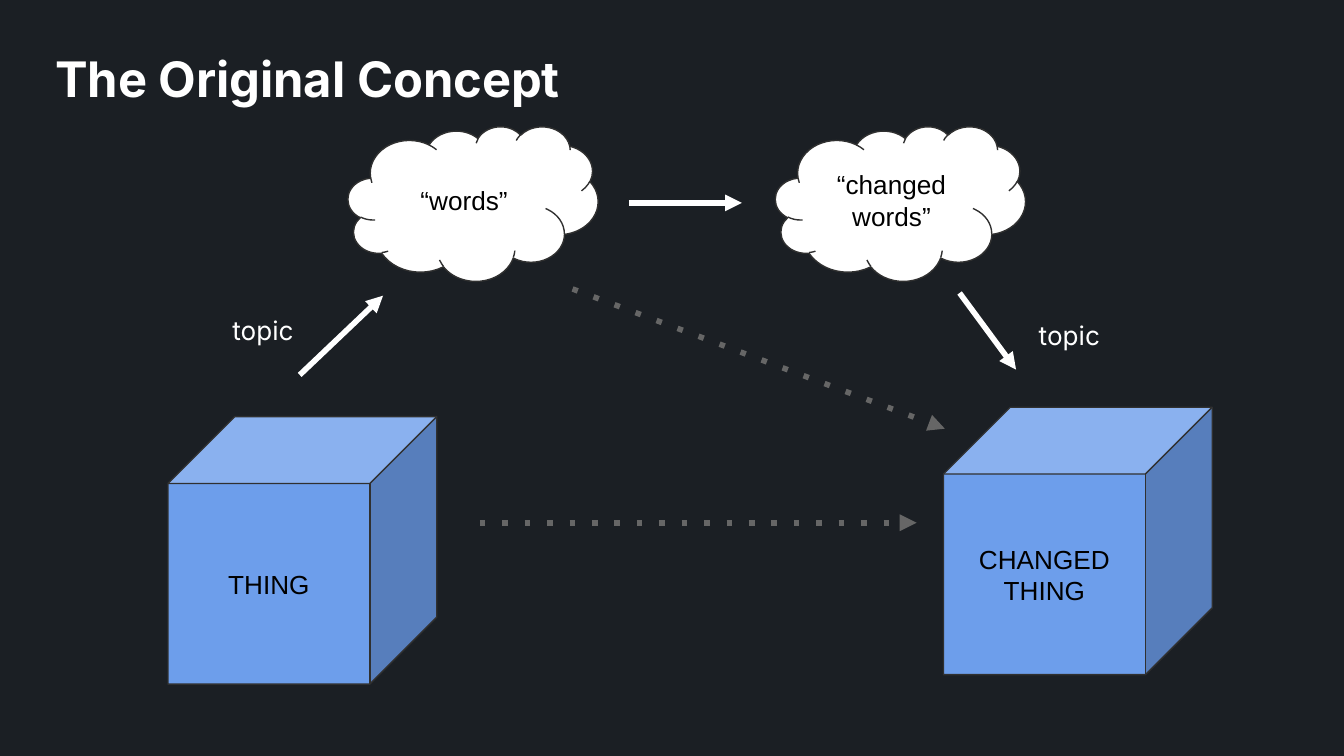
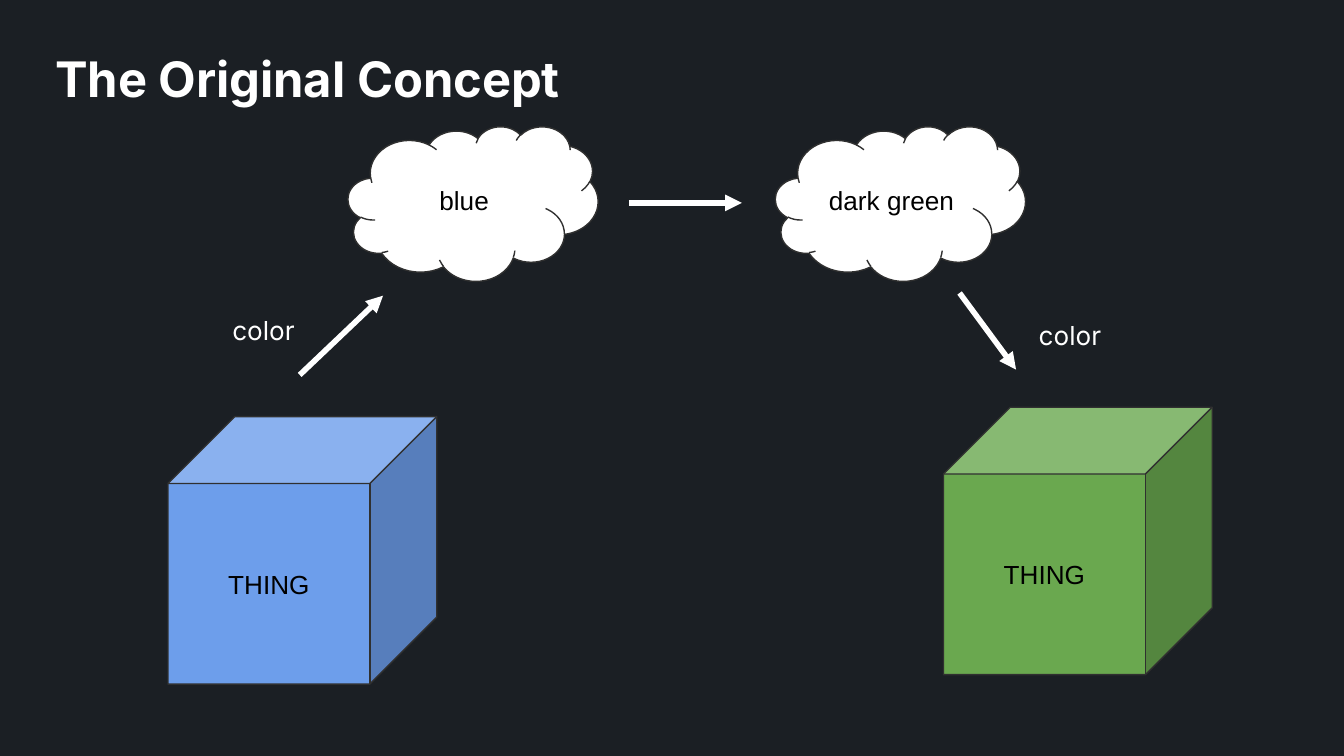
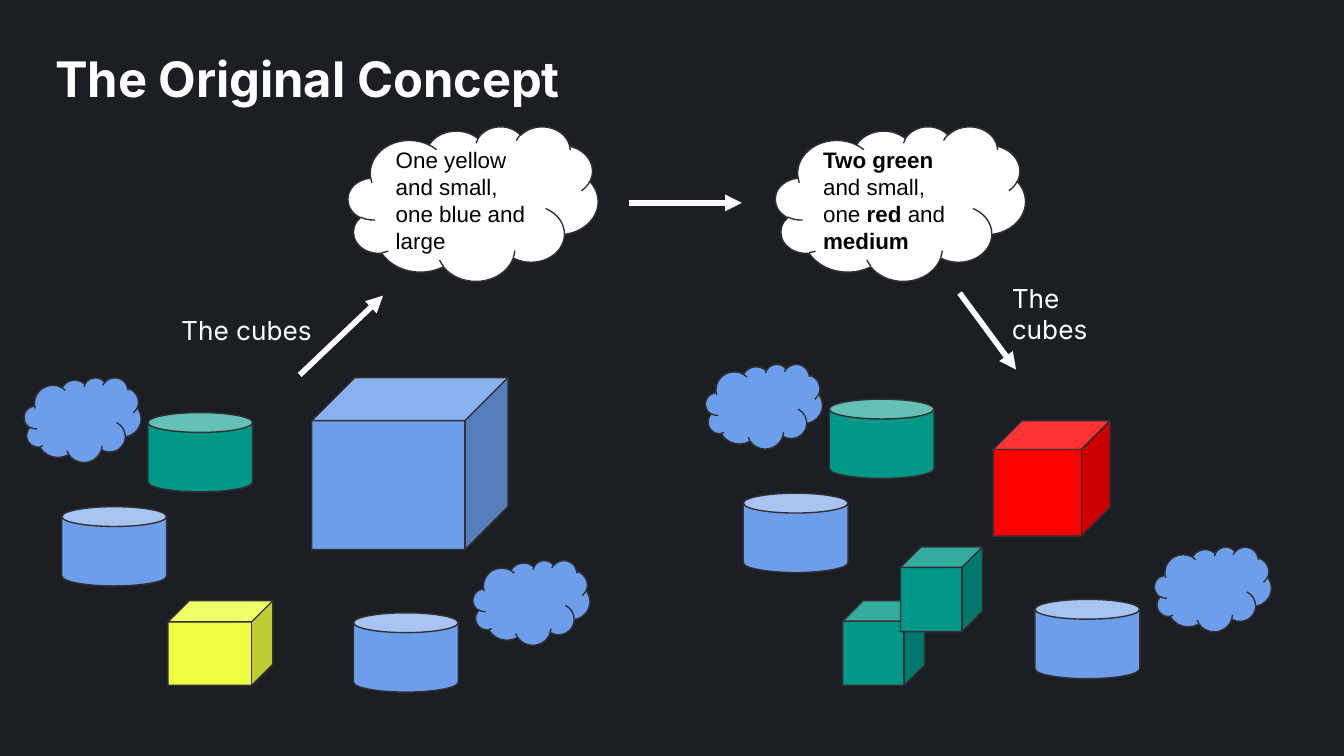
from lxml import etree
from pptx import Presentation
from pptx.dml.color import RGBColor
from pptx.enum.shapes import MSO_CONNECTOR, MSO_SHAPE
from pptx.enum.text import MSO_ANCHOR, MSO_AUTO_SIZE, PP_ALIGN
from pptx.oxml.ns import qn
from pptx.util import Inches, Pt

CUBE, CAN, CLOUD = MSO_SHAPE.CUBE, MSO_SHAPE.CAN, MSO_SHAPE.CLOUD
STRAIGHT = MSO_CONNECTOR.STRAIGHT
LEFT, CENTER = PP_ALIGN.LEFT, PP_ALIGN.CENTER
TOP, MIDDLE = MSO_ANCHOR.TOP, MSO_ANCHOR.MIDDLE
NO_AUTOFIT = MSO_AUTO_SIZE.NONE

DARK, WHITE, BLACK = "1B1F24", "FFFFFF", "000000"
OUTLINE, GRAY = "303030", "666666"
BLUE, GREEN, TEAL = "6D9EEB", "6AA84F", "009688"
YELLOW, RED = "EEFF41", "FF0000"

presentation = Presentation()
presentation.slide_width = Inches(10)
presentation.slide_height = Inches(5.625)
CELL = presentation.slide_width // 100
INSET = CELL


def write_text(shape, text, size, font_name, color, alignment, anchor):
    frame = shape.text_frame
    frame.word_wrap = True
    frame.auto_size = NO_AUTOFIT
    frame.vertical_anchor = anchor
    frame.margin_left = frame.margin_right = INSET
    frame.margin_top = frame.margin_bottom = INSET
    paragraph = frame.paragraphs[0]
    paragraph.alignment = alignment
    paragraph.font.size = Pt(size)
    paragraph.font.name = font_name
    paragraph.font.color.rgb = RGBColor.from_string(color)
    for index, part in enumerate(text.split("*")):
        if part:
            run = paragraph.add_run()
            run.text = part
            if index % 2:
                run.font.bold = True


def add_solid(slide, kind, box, fill):
    shape = slide.shapes.add_shape(kind, *[round(value * CELL) for value in box])
    shape.shadow.inherit = False
    shape.fill.solid()
    shape.fill.fore_color.rgb = RGBColor.from_string(fill)
    shape.line.color.rgb = RGBColor.from_string(OUTLINE)
    shape.line.width = Pt(0.75)
    return shape


THOUGHT_BOXES = [(25.9, 9.4, 18.6, 11.5), (57.7, 9.4, 18.6, 11.5)]
THING_BOXES = [(12.5, 31, 20, 19.9), (70.2, 30.3, 20, 19.9)]
LABEL_BOXES = [(16.3, 22.4, 7.8, 4.4), (76.3, 22.8, 7.8, 4.4)]
CUBES_LABEL_BOXES = [(12.5, 22.4, 16.2, 4.4), (74.3, 20, 7.8, 6.7)]

STEPS = [
    (22.3, 27.9, 28.5, 22, WHITE),
    (71.4, 21.8, 75.6, 27.5, WHITE),
    (46.8, 15.1, 55.2, 15.1, WHITE),
]
SHORTCUTS = [
    (42.6, 21.5, 70.3, 31.9, GRAY),
    (35.7, 38.9, 68.2, 38.9, GRAY),
]

SCENES = [
    {
        "thoughts": ["“words”", "“changed words”"],
        "thought_style": (14, CENTER),
        "label": "topic",
        "label_boxes": LABEL_BOXES,
        "things": [("THING", BLUE), ("CHANGED THING", BLUE)],
        "arrows": STEPS + SHORTCUTS,
    },
    {
        "thoughts": ["blue", "dark green"],
        "thought_style": (14, CENTER),
        "label": "color",
        "label_boxes": LABEL_BOXES,
        "things": [("THING", BLUE), ("THING", GREEN)],
        "arrows": STEPS,
    },
    {
        "thoughts": [
            "One yellow and small, one blue and large",
            "*Two green* and small, one *red* and *medium*",
        ],
        "thought_style": (12, LEFT),
        "label": "The cubes",
        "label_boxes": CUBES_LABEL_BOXES,
        "things": [],
        "arrows": STEPS,
    },
]

background = presentation.slide_master.background.fill
background.solid()
background.fore_color.rgb = RGBColor.from_string(DARK)
title_only = presentation.slide_layouts[5]

for scene in SCENES:
    slide = presentation.slides.add_slide(title_only)
    title = slide.shapes.title
    title.left, title.top = round(3.1 * CELL), round(2.6 * CELL)
    title.width, title.height = round(86.7 * CELL), round(6.3 * CELL)
    write_text(title, "The Original Concept", 26.2, "Inter", WHITE, LEFT, TOP)
    title.text_frame.paragraphs[0].font.bold = True

    for (text, fill), box in zip(scene["things"], THING_BOXES):
        cube = add_solid(slide, CUBE, box, fill)
        write_text(cube, text, 14, "Arial", BLACK, CENTER, MIDDLE)

    size, alignment = scene["thought_style"]
    for text, box in zip(scene["thoughts"], THOUGHT_BOXES):
        cloud = add_solid(slide, CLOUD, box, WHITE)
        write_text(cloud, text, size, "Arial", BLACK, alignment, MIDDLE)

    for *ends, color in scene["arrows"]:
        arrow = slide.shapes.add_connector(STRAIGHT, *[round(end * CELL) for end in ends])
        arrow.line.color.rgb = RGBColor.from_string(color)
        arrow.line.width = Pt(3)
        properties = arrow._element.spPr
        line = properties.find(qn("a:ln"))
        if color == GRAY:
            etree.SubElement(line, qn("a:prstDash"), val="dot")
        etree.SubElement(line, qn("a:tailEnd"), type="triangle")
        etree.SubElement(properties, qn("a:effectLst"))

    for box in scene["label_boxes"]:
        label = slide.shapes.add_textbox(*[round(value * CELL) for value in box])
        write_text(label, scene["label"], 14, "Inter", WHITE, LEFT, TOP)

CAN_SIZE = (7.8, 5.9)
CLOUD_SIZE = (8.7, 6.3)
UNCHANGED = [
    (CAN, 26.3, 45.6, CAN_SIZE, BLUE),
    (CAN, 11, 30.7, CAN_SIZE, TEAL),
    (CAN, 4.6, 37.7, CAN_SIZE, BLUE),
    (CLOUD, 35.2, 41.7, CLOUD_SIZE, BLUE),
    (CLOUD, 1.8, 28.1, CLOUD_SIZE, BLUE),
]
CUBES = [
    (12.5, 44.7, 7.8, 6.3, YELLOW),
    (23.2, 28.1, 14.6, 12.8, BLUE),
    (73.9, 31.3, 8.7, 8.6, RED),
    (62.7, 44.7, 6.1, 6.3, TEAL),
    (67, 40.7, 6.1, 6.3, TEAL),
]

for shift_right, shift_down in [(0, 0), (50.7, -1)]:
    for kind, left, top, extent, fill in UNCHANGED:
        add_solid(slide, kind, (left + shift_right, top + shift_down, *extent), fill)
for *box, fill in CUBES:
    add_solid(slide, CUBE, box, fill)

presentation.save("out.pptx")
